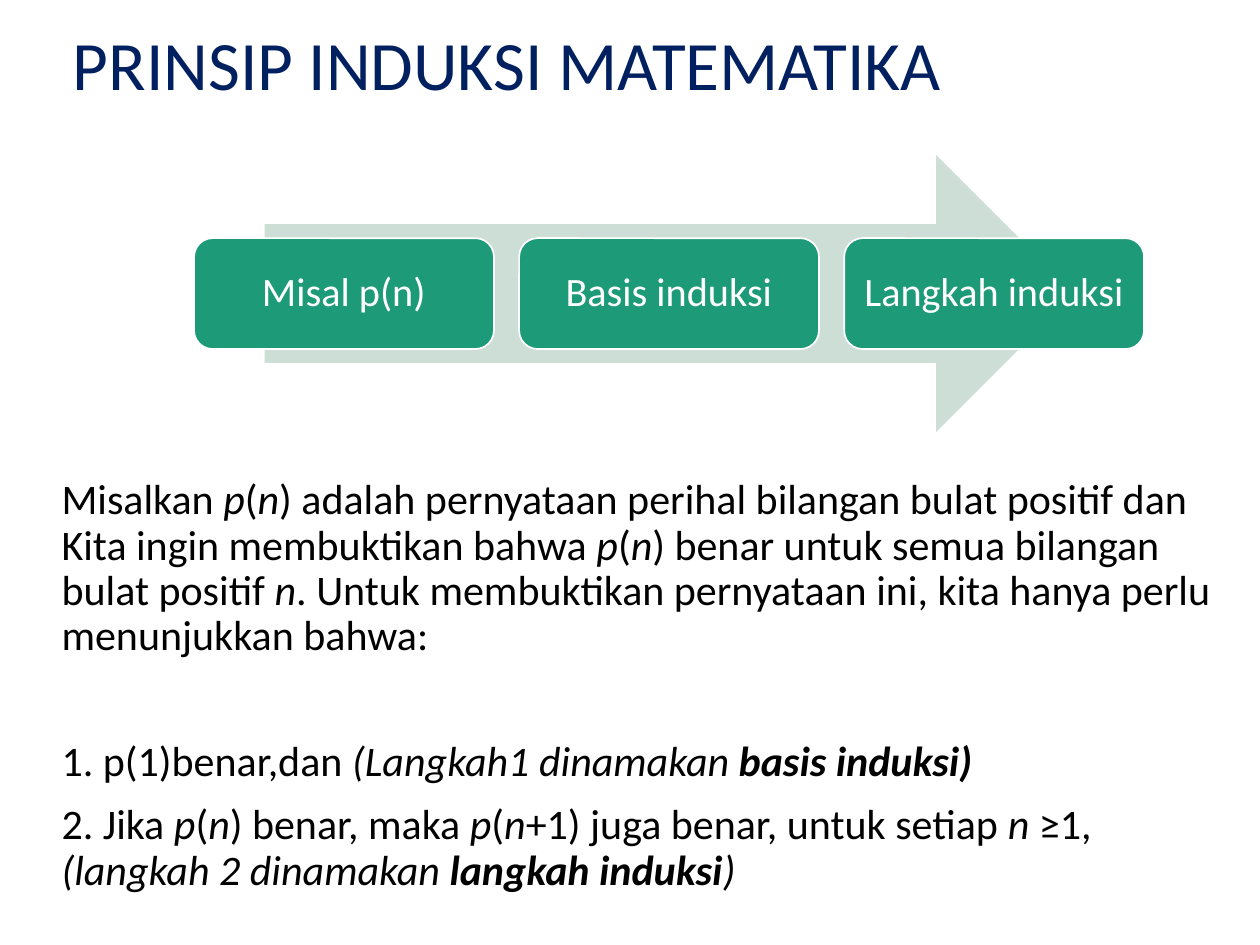
from dataclasses import dataclass
from pptx import Presentation
from pptx.dml.color import RGBColor
from pptx.enum.shapes import MSO_SHAPE
from pptx.enum.text import MSO_ANCHOR, PP_ALIGN
from pptx.util import Inches, Pt


@dataclass(frozen=True)
class Theme:
    font: str = "Calibri"
    navy: str = "002060"
    ink: str = "000000"
    white: str = "FFFFFF"
    green: str = "1D9A78"
    pale: str = "CDDED6"
    title: float = 39.6
    body: float = 24
    label: float = 23


class Deck:
    def __init__(self, theme):
        self.theme = theme
        self.prs = Presentation()
        self.prs.slide_width = Inches(10)
        self.prs.slide_height = Inches(7.5)
        self.slide = self.prs.slides.add_slide(self.prs.slide_layouts[6])

    def add_runs(self, para, runs, size, color):
        para.line_spacing = 0.9
        for text, style in runs:
            run = para.add_run()
            run.text = text
            font = run.font
            font.name = self.theme.font
            font.size = Pt(size)
            font.bold = "b" in style
            font.italic = "i" in style
            font.color.rgb = RGBColor.from_string(color)

    def text(self, box, paras, size, color, anchor=MSO_ANCHOR.TOP):
        frame = self.slide.shapes.add_textbox(*map(Inches, box)).text_frame
        frame.word_wrap = True
        frame.vertical_anchor = anchor
        for i, (space, runs) in enumerate(paras):
            para = frame.add_paragraph() if i else frame.paragraphs[0]
            para.space_before = Pt(space)
            self.add_runs(para, runs, size, color)

    def shape(self, kind, box, fill, line=None):
        shape = self.slide.shapes.add_shape(kind, *map(Inches, box))
        shape.shadow.inherit = False
        shape.fill.solid()
        shape.fill.fore_color.rgb = RGBColor.from_string(fill)
        if line:
            shape.line.color.rgb = RGBColor.from_string(line)
            shape.line.width = Pt(1)
        else:
            shape.line.fill.background()
        return shape

    def card(self, box, label):
        theme = self.theme
        shape = self.shape(MSO_SHAPE.ROUNDED_RECTANGLE, box, theme.green, theme.white)
        frame = shape.text_frame
        frame.word_wrap = True
        frame.vertical_anchor = MSO_ANCHOR.MIDDLE
        para = frame.paragraphs[0]
        para.alignment = PP_ALIGN.CENTER
        self.add_runs(para, [(label, "")], theme.label, theme.white)

    def save(self):
        self.prs.save("out.pptx")


PN = [("p", "i"), ("(", ""), ("n", "i")]
STEPS = ["Misal p(n)", "Basis induksi", "Langkah induksi"]
BODY = [
    (0, [("Misalkan ", ""), *PN,
         (") adalah pernyataan perihal bilangan bulat positif dan "
          "Kita ingin membuktikan bahwa ", ""), *PN,
         (") benar untuk semua bilangan bulat positif ", ""), ("n", "i"),
         (". Untuk membuktikan pernyataan ini, kita hanya perlu "
          "menunjukkan bahwa:", "")]),
    (46, [("1. p(1)benar,dan ", ""), ("(Langkah1 dinamakan ", "i"),
          ("basis induksi)", "bi")]),
    (10, [("2. Jika ", ""), *PN, (") benar, maka ", ""), *PN,
          ("+1) juga benar, untuk setiap ", ""), ("n", "i"), (" ≥1, ", ""),
          ("(langkah 2 dinamakan ", "i"), ("langkah induksi", "bi"), (")", "i")]),
]


def main():
    theme = Theme()
    deck = Deck(theme)
    deck.text((0.48, 0.21, 9, 0.66), [(0, [("PRINSIP INDUKSI MATEMATIKA", "")])],
              theme.title, theme.navy, MSO_ANCHOR.MIDDLE)
    deck.text((0.39, 3.75, 9.61, 3.23), BODY, theme.body, theme.ink)
    deck.shape(MSO_SHAPE.RIGHT_ARROW, (2.1, 1.23, 6.43, 2.2), theme.pale)
    wide, gap = 2.38, 0.2
    for i, label in enumerate(STEPS):
        deck.card((1.54 + i * (wide + gap), 1.89, wide, 0.88), label)
    deck.save()


if __name__ == "__main__":
    main()
